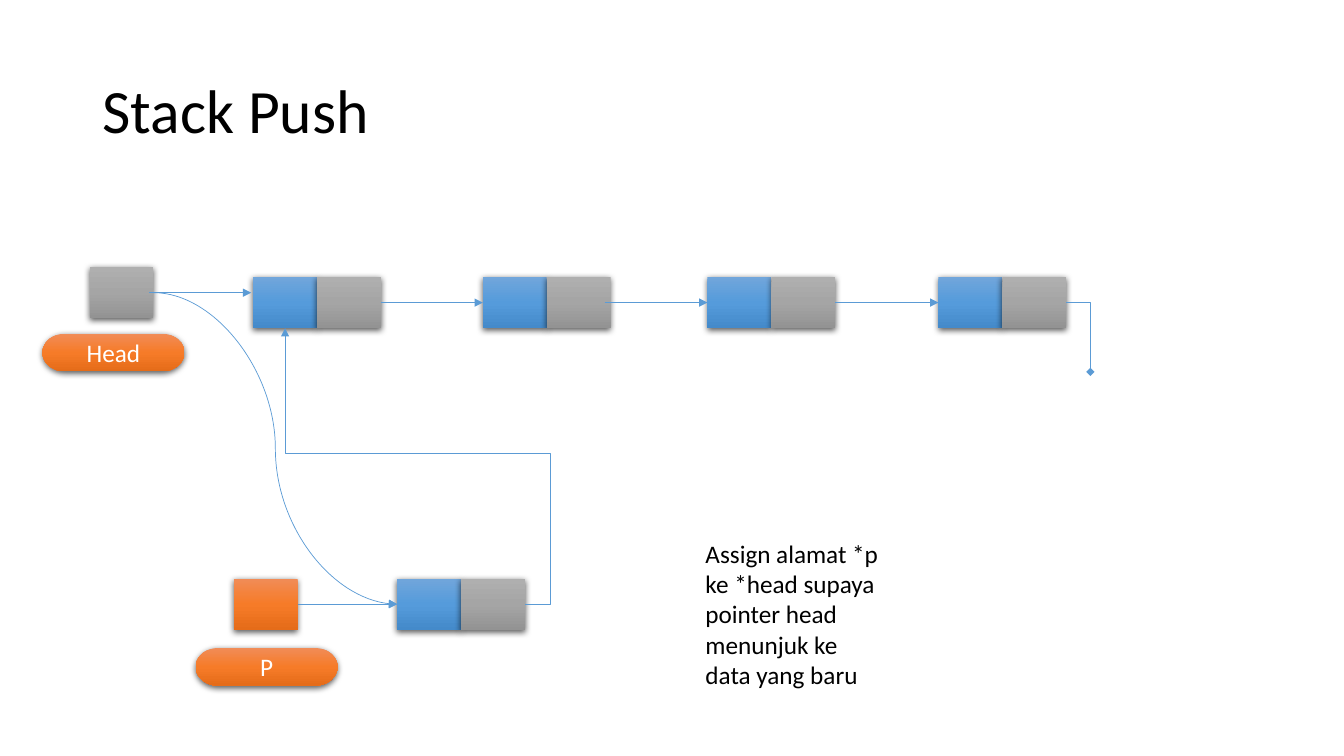
from copy import deepcopy
from dataclasses import dataclass
from typing import Optional

from lxml import etree
from pptx import Presentation
from pptx.dml.color import RGBColor
from pptx.enum.shapes import MSO_CONNECTOR, MSO_SHAPE
from pptx.enum.text import MSO_ANCHOR, MSO_AUTO_SIZE, PP_ALIGN
from pptx.oxml.ns import qn
from pptx.shapes.autoshape import Shape
from pptx.shapes.connector import Connector
from pptx.slide import Slide
from pptx.text.text import TextFrame
from pptx.util import Cm, Pt

RECTANGLE = MSO_SHAPE.RECTANGLE
TERMINATOR = MSO_SHAPE.FLOWCHART_TERMINATOR
STRAIGHT, ELBOW, CURVE = MSO_CONNECTOR.STRAIGHT, MSO_CONNECTOR.ELBOW, MSO_CONNECTOR.CURVE
LEFT, CENTER = PP_ALIGN.LEFT, PP_ALIGN.CENTER
MIDDLE = MSO_ANCHOR.MIDDLE
NO_AUTOFIT, FIT_SHAPE = MSO_AUTO_SIZE.NONE, MSO_AUTO_SIZE.SHAPE_TO_FIT_TEXT
LEFT_SIDE, RIGHT_SIDE = 1, 3

BLACK = RGBColor(0x00, 0x00, 0x00)
WHITE = RGBColor(0xFF, 0xFF, 0xFF)
LINE_BLUE = RGBColor(0x5B, 0x9B, 0xD5)
BLUE = (RGBColor(0x71, 0xA6, 0xDB), RGBColor(0x55, 0x9B, 0xDB), RGBColor(0x44, 0x8A, 0xCA))
GRAY = (RGBColor(0xAF, 0xAF, 0xAF), RGBColor(0xA5, 0xA5, 0xA5), RGBColor(0x93, 0x93, 0x93))
ORANGE = (RGBColor(0xF1, 0x8C, 0x57), RGBColor(0xF6, 0x7B, 0x28), RGBColor(0xE5, 0x6C, 0x19))
Gradient = tuple[RGBColor, RGBColor, RGBColor]

FONT = "Calibri"
TITLE_ONLY = 5
CELL_WIDTH, CELL_HEIGHT = 1.61, 1.29
LABEL_WIDTH, LABEL_HEIGHT = 3.58, 0.95
LIST_TOP, NEW_TOP, HEAD_TOP = 6.98, 14.58, 6.73
LIST_LEFTS = (6.38, 12.17, 17.83, 23.65)
NEW_LEFT, HEAD_LEFT, P_LEFT = 10.01, 2.26, 5.89
LIST_MIDDLE, NEW_MIDDLE, HEAD_MIDDLE = (
    top + CELL_HEIGHT / 2 for top in (LIST_TOP, NEW_TOP, HEAD_TOP)
)


@dataclass
class Node:
    data: Shape
    pointer: Shape


@dataclass
class Label:
    text: str
    left: float
    top: float


@dataclass
class Link:
    """A connector in centimetres, with optional preset, adjustments and joined shapes."""
    kind: MSO_CONNECTOR
    begin: tuple[float, float]
    end: tuple[float, float]
    arrow: str = "triangle"
    preset: Optional[str] = None
    adjustments: tuple[int, ...] = ()
    source: Optional[Shape] = None
    target: Optional[Shape] = None


LABELS = (Label("P", 4.93, 16.33), Label("Head", 1.07, 8.41))


def format_text(text_frame: TextFrame, size: int, color: RGBColor, align: PP_ALIGN) -> None:
    for paragraph in text_frame.paragraphs:
        paragraph.alignment = align
        for run in paragraph.runs:
            run.font.name = FONT
            run.font.size = Pt(size)
            run.font.color.rgb = color


def apply_gradient(shape: Shape, colors: Gradient) -> None:
    """Fill with three stops running from top to bottom."""
    shape.fill.gradient()
    shape.fill.gradient_angle = 270
    stop_list = shape._element.spPr.find(".//" + qn("a:gsLst"))
    stop_list.insert(1, deepcopy(stop_list[0]))
    for index, (stop, color) in enumerate(zip(shape.fill.gradient_stops, colors)):
        stop.position = index / 2
        stop.color.rgb = color


def apply_shadow(shape: Shape) -> None:
    shape.shadow.inherit = False
    effects = shape._element.spPr.find(qn("a:effectLst"))
    shadow = etree.SubElement(
        effects, qn("a:outerShdw"), blurRad=str(Pt(4.5)), dist=str(Pt(1.5)),
        dir="5400000", algn="ctr", rotWithShape="0",
    )
    color = etree.SubElement(shadow, qn("a:srgbClr"), val=str(BLACK))
    etree.SubElement(color, qn("a:alpha"), val="63000")


def add_block(slide: Slide, kind: MSO_SHAPE, left: float, top: float,
              width: float, height: float, colors: Gradient) -> Shape:
    shape = slide.shapes.add_shape(kind, Cm(left), Cm(top), Cm(width), Cm(height))
    shape.line.fill.background()
    apply_gradient(shape, colors)
    apply_shadow(shape)
    return shape


def add_cell(slide: Slide, left: float, top: float, colors: Gradient) -> Shape:
    return add_block(slide, RECTANGLE, left, top, CELL_WIDTH, CELL_HEIGHT, colors)


def add_node(slide: Slide, left: float, top: float) -> Node:
    return Node(add_cell(slide, left, top, BLUE), add_cell(slide, left + CELL_WIDTH, top, GRAY))


def add_label(slide: Slide, label: Label) -> None:
    shape = add_block(slide, TERMINATOR, label.left, label.top, LABEL_WIDTH, LABEL_HEIGHT, ORANGE)
    shape.text_frame.text = label.text
    shape.text_frame.vertical_anchor = MIDDLE
    format_text(shape.text_frame, 18, WHITE, CENTER)


def add_link(slide: Slide, link: Link) -> Connector:
    ends = [Cm(value) for value in (*link.begin, *link.end)]
    connector = slide.shapes.add_connector(link.kind, *ends)
    if link.source is not None:
        connector.begin_connect(link.source, RIGHT_SIDE)
    if link.target is not None:
        connector.end_connect(link.target, LEFT_SIDE)
    connector.line.color.rgb = LINE_BLUE
    connector.line.width = Pt(0.5)
    properties = connector._element.spPr
    etree.SubElement(properties.find(qn("a:ln")), qn("a:tailEnd"), type=link.arrow)
    etree.SubElement(properties, qn("a:effectLst"))
    geometry = properties.find(qn("a:prstGeom"))
    if link.preset:
        geometry.set("prst", link.preset)
    for number, value in enumerate(link.adjustments, start=1):
        etree.SubElement(geometry.find(qn("a:avLst")), qn("a:gd"),
                         name=f"adj{number}", fmla=f"val {value}")
    return connector


def add_title(slide: Slide) -> None:
    title = slide.shapes.title
    title.left, title.top, title.width, title.height = Cm(2.33), Cm(1.01), Cm(29.21), Cm(3.68)
    title.text_frame.text = "Stack Push"
    title.text_frame.auto_size = NO_AUTOFIT
    title.text_frame.vertical_anchor = MIDDLE
    title.text_frame.paragraphs[0].line_spacing = 0.9
    format_text(title.text_frame, 44, BLACK, LEFT)


def add_explanation(slide: Slide) -> None:
    box = slide.shapes.add_textbox(Cm(17.53), Cm(13.44), Cm(5), Cm(4.11))
    box.text_frame.text = (
        "Assign alamat *p ke *head supaya pointer head menunjuk ke data yang baru"
    )
    box.text_frame.word_wrap = True
    box.text_frame.auto_size = FIT_SHAPE
    format_text(box.text_frame, 18, BLACK, LEFT)


def main() -> None:
    presentation = Presentation()
    presentation.slide_width, presentation.slide_height = Cm(33.87), Cm(19.05)
    slide = presentation.slides.add_slide(presentation.slide_layouts[TITLE_ONLY])
    add_title(slide)

    first, second, third, last = [add_node(slide, left, LIST_TOP) for left in LIST_LEFTS]
    head = add_cell(slide, HEAD_LEFT, HEAD_TOP, GRAY)
    new_node = add_node(slide, NEW_LEFT, NEW_TOP)
    p_cell = add_cell(slide, P_LEFT, NEW_TOP, ORANGE)

    list_end = LIST_LEFTS[-1] + 2 * CELL_WIDTH
    new_end = NEW_LEFT + 2 * CELL_WIDTH
    new_start = (NEW_LEFT, NEW_MIDDLE)
    links = (
        Link(STRAIGHT, (9.6, LIST_MIDDLE), (LIST_LEFTS[1], LIST_MIDDLE),
             source=first.pointer, target=second.data),
        Link(STRAIGHT, (15.24, LIST_MIDDLE), (LIST_LEFTS[2], LIST_MIDDLE), target=third.data),
        Link(STRAIGHT, (21.05, LIST_MIDDLE), (LIST_LEFTS[3], LIST_MIDDLE),
             source=third.pointer, target=last.data),
        Link(STRAIGHT, (3.76, HEAD_MIDDLE), (6.33, HEAD_MIDDLE)),
        Link(ELBOW, (list_end, LIST_MIDDLE), (27.48, 9.37), "diamond", "bentConnector2"),
        Link(STRAIGHT, (P_LEFT + CELL_WIDTH, NEW_MIDDLE), new_start,
             source=p_cell, target=new_node.data),
        Link(ELBOW, (new_end, NEW_MIDDLE),
             (LIST_LEFTS[0] + CELL_WIDTH / 2, LIST_TOP + CELL_HEIGHT),
             preset="bentConnector4", adjustments=(-10500, 54600)),
        Link(CURVE, (HEAD_LEFT + CELL_WIDTH, HEAD_MIDDLE), new_start),
    )
    for link in links:
        add_link(slide, link)

    add_explanation(slide)
    for label in LABELS:
        add_label(slide, label)
    presentation.save("out.pptx")


if __name__ == "__main__":
    main()
